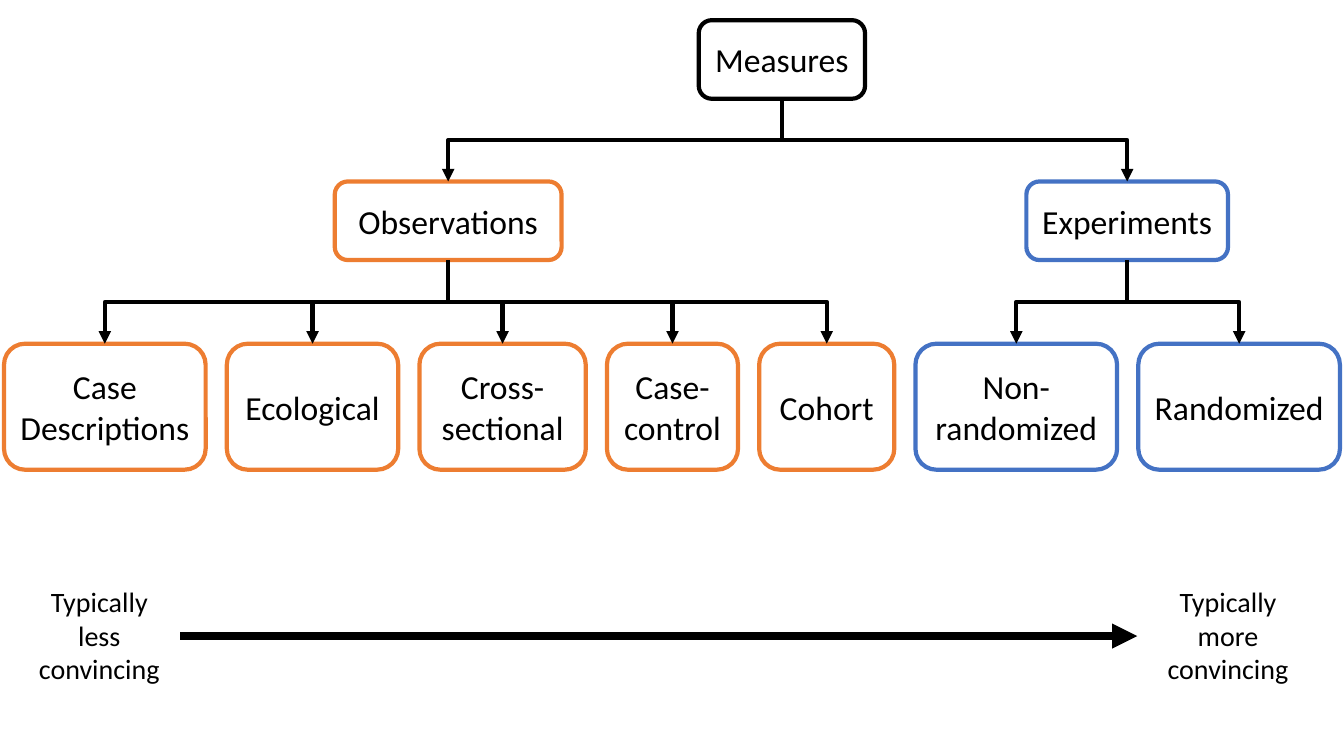
from lxml.etree import SubElement
from pptx import Presentation
from pptx.dml.color import RGBColor
from pptx.enum.shapes import MSO_CONNECTOR, MSO_SHAPE
from pptx.enum.text import MSO_ANCHOR, PP_ALIGN
from pptx.oxml.ns import qn
from pptx.util import Inches, Pt

BLACK, ORANGE, BLUE = "000000", "ED7D31", "4472C4"
GAP = 0.21
LEAVES = [
    ("Case\nDescriptions", 2, ORANGE),
    ("Ecological", 1.7, ORANGE),
    ("Cross-sectional", 1.65, ORANGE),
    ("Case-control", 1.3, ORANGE),
    ("Cohort", 1.34, ORANGE),
    ("Non-randomized", 2, BLUE),
    ("Randomized", 2, BLUE),
]


def color(code):
    """Turn a hex string into a colour."""
    return RGBColor.from_string(code)


def write(frame, text, size):
    """Fill a text frame with centred text."""
    frame.word_wrap = True
    frame.text = text
    for para in frame.paragraphs:
        para.alignment = PP_ALIGN.CENTER
        para.font.name = "Calibri"
        para.font.size = Pt(size)
        para.font.color.rgb = color(BLACK)


def add_box(slide, text, left, top, width, height, edge):
    """Draw one rounded box of the tree."""
    box = slide.shapes.add_shape(
        MSO_SHAPE.ROUNDED_RECTANGLE,
        Inches(left), Inches(top), Inches(width), Inches(height))
    box.shadow.inherit = False
    box.fill.background()
    box.line.color.rgb = color(edge)
    box.line.width = Pt(3)
    box.text_frame.vertical_anchor = MSO_ANCHOR.MIDDLE
    write(box.text_frame, text, 24)
    return box


def add_label(slide, text, left, width):
    """Write a label at one end of the scale."""
    label = slide.shapes.add_textbox(
        Inches(left), Inches(5.75), Inches(width), Inches(1.11))
    write(label.text_frame, text, 20)


def add_arrow(slide, kind, start, end, weight):
    """Draw a black connector with an arrowhead."""
    arrow = slide.shapes.add_connector(kind, *start, *end)
    arrow.line.color.rgb = color(BLACK)
    arrow.line.width = Pt(weight)
    SubElement(arrow.line._get_or_add_ln(), qn("a:tailEnd"), type="triangle")
    SubElement(arrow.element.spPr, qn("a:effectLst"))
    return arrow


def link(slide, parent, child):
    """Join a parent box to a child box with a bent arrow."""
    start = parent.left + parent.width // 2, parent.top + parent.height
    end = child.left + child.width // 2, child.top
    arrow = add_arrow(slide, MSO_CONNECTOR.ELBOW, start, end, 3)
    arrow.begin_connect(parent, 2)
    arrow.end_connect(child, 0)
    span, drop = abs(end[0] - start[0]), end[1] - start[1]
    arrow.left = (start[0] + end[0] - drop) // 2
    arrow.top = (start[1] + end[1] - span) // 2
    arrow.width, arrow.height = drop, span
    right = end[0] > start[0]
    frame = arrow.element.spPr.find(qn("a:xfrm"))
    frame.set("rot", str((270 if right else 90) * 60000))
    frame.set("flipH", "1" if right else "0")


def main():
    """Build the tree of measures and the scale below it."""
    deck = Presentation()
    deck.slide_width, deck.slide_height = Inches(13.33), Inches(7.5)
    slide = deck.slides.add_slide(deck.slide_layouts[6])

    root = add_box(slide, "Measures", 6.93, 0.2, 1.65, 0.78, BLACK)
    groups = {
        ORANGE: add_box(slide, "Observations", 3.32, 1.8, 2.25, 0.78, ORANGE),
        BLUE: add_box(slide, "Experiments", 10.18, 1.8, 2, 0.78, BLUE),
    }
    for group in groups.values():
        link(slide, root, group)

    left = 0.04
    for text, width, edge in LEAVES:
        leaf = add_box(slide, text, left, 3.41, width, 1.25, edge)
        link(slide, groups[edge], leaf)
        left += width + GAP

    add_label(slide, "Typically less convincing", 0.18, 1.61)
    add_label(slide, "Typically more convincing", 11.28, 1.8)
    add_arrow(slide, MSO_CONNECTOR.STRAIGHT,
              (Inches(1.79), Inches(6.31)), (Inches(11.28), Inches(6.31)), 6)
    deck.save("out.pptx")


if __name__ == "__main__":
    main()
